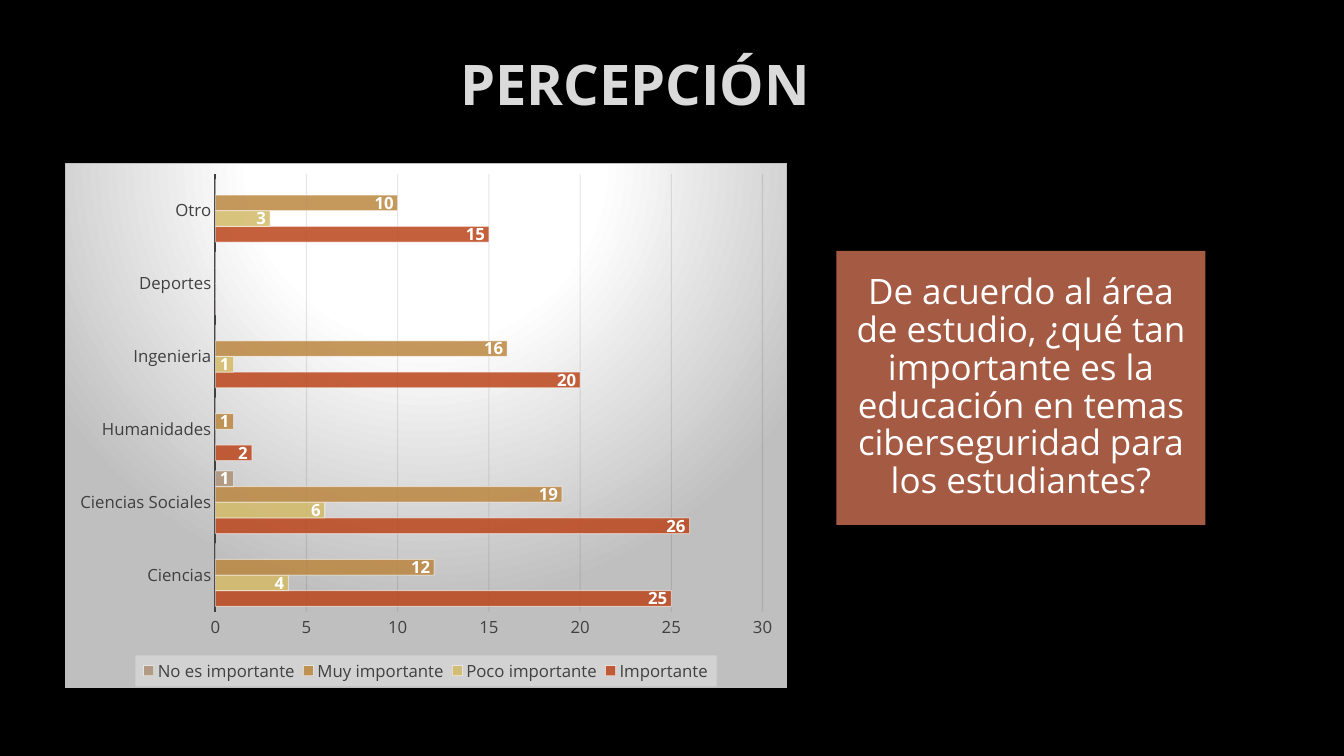
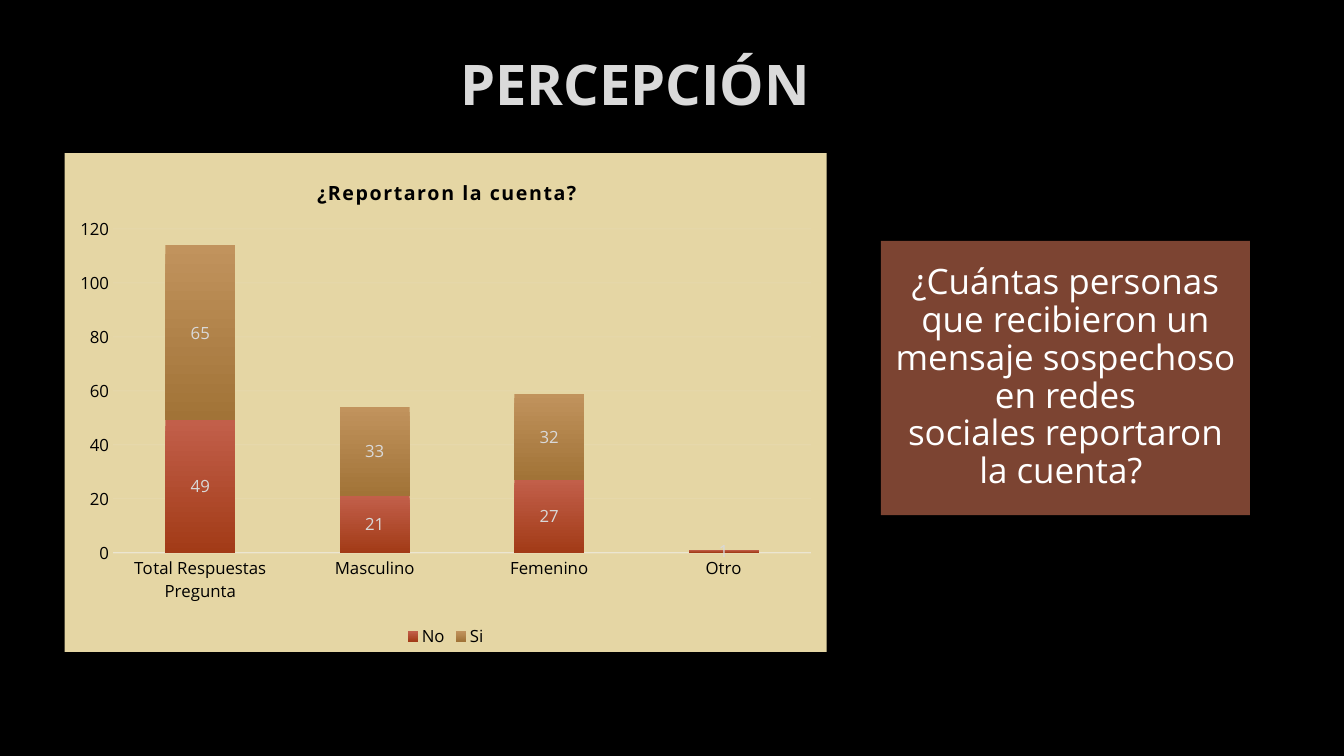
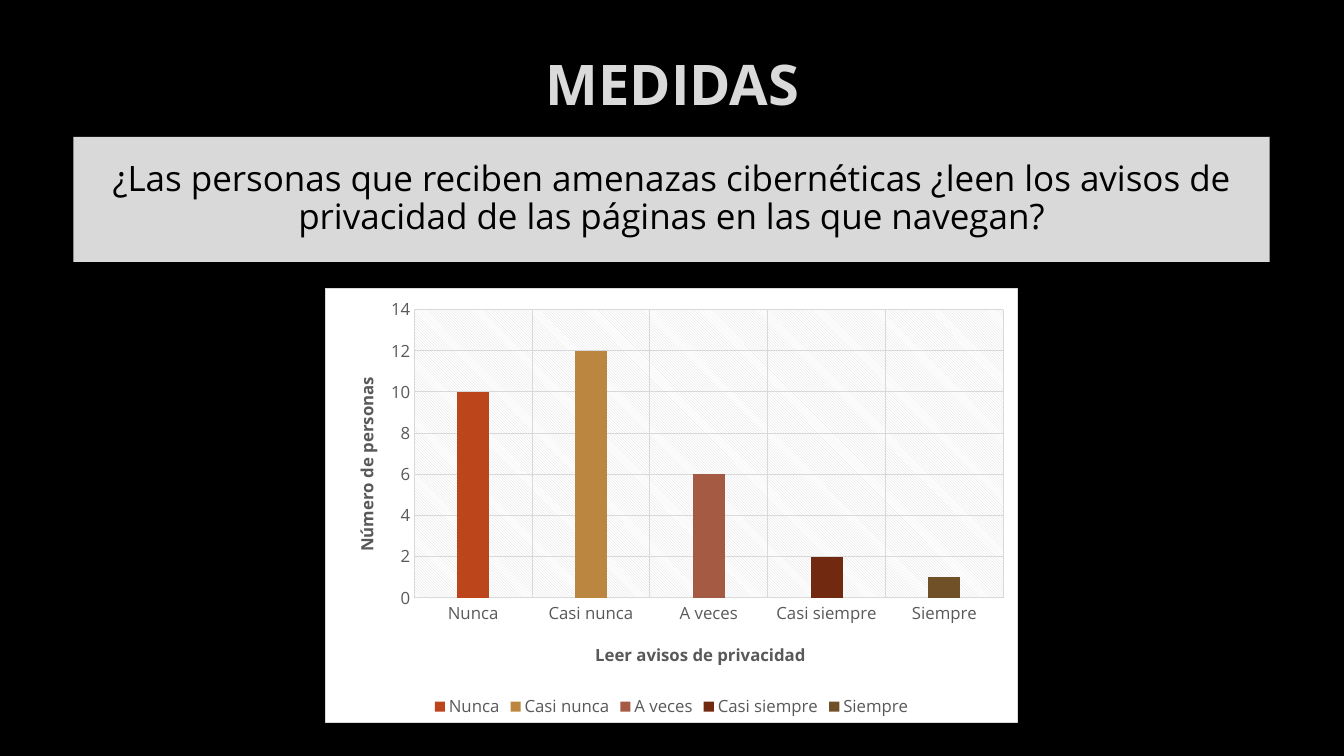
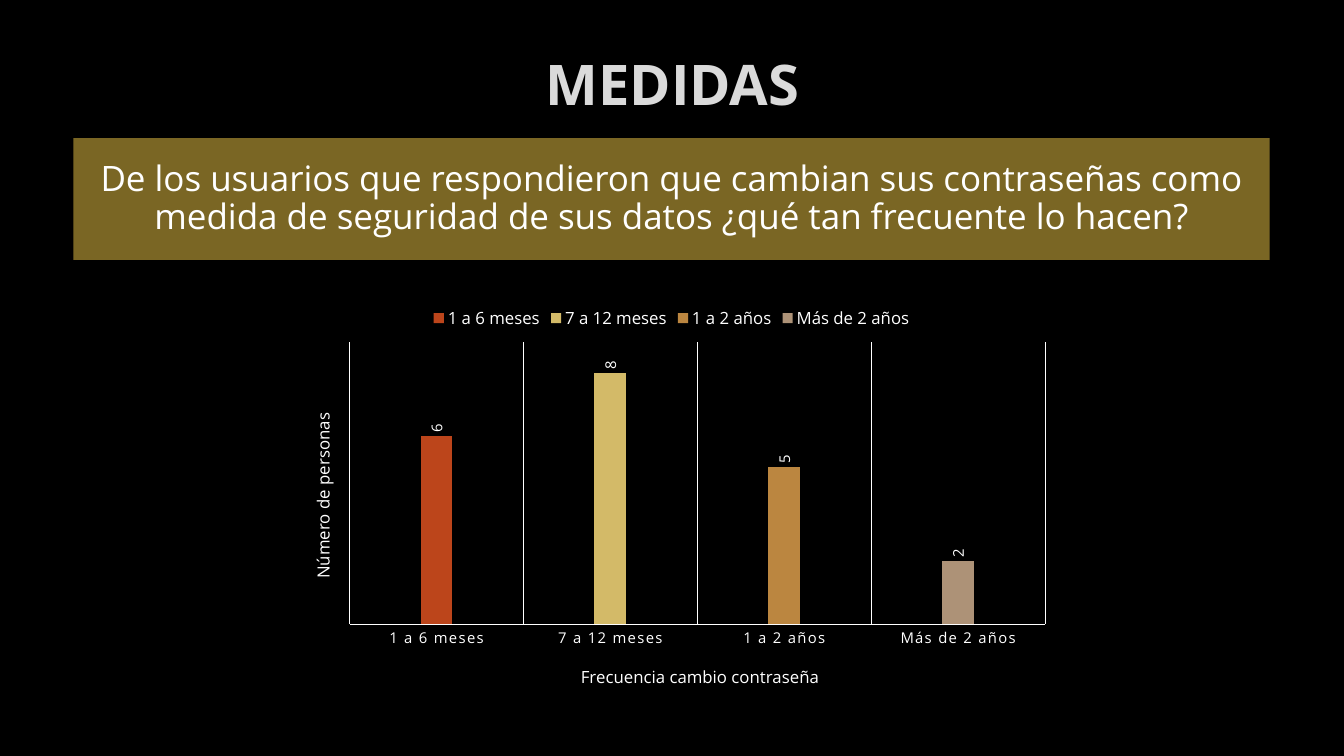
"""Build four slides of survey results on cybersecurity perception and measures."""
from lxml.etree import SubElement
from pptx import Presentation
from pptx.chart.data import CategoryChartData
from pptx.dml.color import RGBColor
from pptx.enum.chart import XL_CHART_TYPE, XL_LABEL_POSITION, XL_LEGEND_POSITION, XL_TICK_MARK
from pptx.enum.shapes import MSO_SHAPE
from pptx.enum.text import MSO_ANCHOR, PP_ALIGN
from pptx.oxml import parse_xml
from pptx.oxml.ns import nsdecls, qn
from pptx.util import Cm, Pt

FONT = "Open Sans"
BLACK = RGBColor(0x00, 0x00, 0x00)
WHITE = RGBColor(0xFF, 0xFF, 0xFF)
TITLE_GRAY = RGBColor(0xDA, 0xDA, 0xDA)
LIGHT_GRAY = RGBColor(0xD9, 0xD9, 0xD9)
PALE_GRAY = RGBColor(0xF2, 0xF2, 0xF2)
MID_GRAY = RGBColor(0x59, 0x59, 0x59)
DARK_GRAY = RGBColor(0x40, 0x40, 0x40)
INK = RGBColor(0x0D, 0x0D, 0x0D)
RUST = RGBColor(0xBC, 0x45, 0x1B)
SAND = RGBColor(0xD3, 0xBA, 0x68)
OCHRE = RGBColor(0xBB, 0x86, 0x40)
TAUPE = RGBColor(0xAD, 0x92, 0x77)
BRICK = RGBColor(0xA5, 0x5A, 0x43)
BROWN = RGBColor(0x7C, 0x44, 0x32)
MAROON = RGBColor(0x71, 0x29, 0x10)
UMBER = RGBColor(0x70, 0x50, 0x26)
OLIVE = RGBColor(0x7A, 0x66, 0x24)
RED_TOP = RGBColor(0xC2, 0x5F, 0x4A)
RED_BASE = RGBColor(0xA2, 0x3B, 0x17)
TAN_TOP = RGBColor(0xC1, 0x93, 0x5D)
TAN_BASE = RGBColor(0xA1, 0x73, 0x37)
UPRIGHT = "-5400000"

SLIDES = [
    dict(
        title="PERCEPCIÓN", title_left=1.63,
        question="De acuerdo al área de estudio, ¿qué tan importante es la educación "
                 "en temas ciberseguridad para los estudiantes?",
        panel=(21.08, 6.32, 9.3, 6.91), panel_color=BRICK, question_color=WHITE,
        kind=XL_CHART_TYPE.BAR_CLUSTERED, frame=(1.63, 4.11, 18.21, 13.23),
        plot=(5.42, 4.38, 13.81, 11.04), gap=65, overlap=0, top=30, step=5,
        categories=["Ciencias", "Ciencias Sociales", "Humanidades", "Ingenieria", "Deportes", "Otro"],
        series={
            "Importante": (25, 26, 2, 20, 0, 15),
            "Poco importante": (4, 6, 0, 1, 0, 3),
            "Muy importante": (12, 19, 1, 16, 0, 10),
            "No es importante": (0, 1, 0, 0, 0, 0),
        },
        text_color=DARK_GRAY, axis_line=(DARK_GRAY, 1.5), grid=INK,
        labels=(XL_LABEL_POSITION.INSIDE_END, 12, WHITE),
        background='<a:gradFill><a:gsLst><a:gs pos="0"><a:srgbClr val="FFFFFF"/></a:gs>'
                   '<a:gs pos="39000"><a:srgbClr val="FFFFFF"/></a:gs>'
                   '<a:gs pos="100000"><a:srgbClr val="BFBFBF"/></a:gs></a:gsLst>'
                   '<a:path path="circle"><a:fillToRect l="50000" t="-80000" r="50000" b="180000"/>'
                   '</a:path></a:gradFill>',
        border='<a:solidFill><a:srgbClr val="BFBFBF"/></a:solidFill>',
    ),
    dict(
        title="PERCEPCIÓN", title_left=1.63,
        question="¿Cuántas personas que recibieron un mensaje sospechoso en redes "
                 "sociales\u00a0reportaron la cuenta? ",
        panel=(22.2, 6.07, 9.3, 6.91), panel_color=BROWN, question_color=WHITE,
        kind=XL_CHART_TYPE.COLUMN_STACKED, frame=(1.63, 3.86, 19.2, 12.57),
        plot=(2.85, 5.77, 17.59, 8.16), gap=150, overlap=100, top=120, step=20,
        categories=["Total Respuestas Pregunta", "Masculino", "Femenino", "Otro"],
        series={"No": (49, 21, 27, 1), "Si": (65, 33, 32, 0)},
        text_color=BLACK, axis_line=(PALE_GRAY, 1), grid=PALE_GRAY,
        labels=(XL_LABEL_POSITION.CENTER, 12, LIGHT_GRAY),
        background='<a:solidFill><a:srgbClr val="E5D6A4"/></a:solidFill>',
        border="<a:noFill/>",
    ),
    dict(
        title="MEDIDAS", title_left=2.57,
        question="¿Las personas que reciben amenazas cibernéticas ¿leen los avisos de "
                 "privacidad de las páginas en las que navegan?",
        panel=(1.85, 3.45, 30.15, 3.15), panel_color=LIGHT_GRAY, question_color=BLACK,
        kind=XL_CHART_TYPE.COLUMN_CLUSTERED, frame=(8.2, 7.26, 17.45, 10.95),
        plot=(10.43, 7.79, 14.87, 7.28), gap=267, overlap=-43, top=14, step=2,
        categories=["Nunca", "Casi nunca", "A veces", "Casi siempre", "Siempre"],
        series={"Series 1": (10, 12, 6, 2, 1)},
        point_colors=(RUST, OCHRE, BRICK, MAROON, UMBER),
        text_color=MID_GRAY, axis_line=(LIGHT_GRAY, 0.75), grid=LIGHT_GRAY,
        axis_titles=(("Leer avisos de privacidad", 14.92, 16.1), ("Número de personas", 8.82, 9.42)),
        bold=True,
        background='<a:solidFill><a:srgbClr val="FFFFFF"/></a:solidFill>',
        border='<a:solidFill><a:srgbClr val="D9D9D9"/></a:solidFill>',
    ),
    dict(
        title="MEDIDAS", title_left=2.57,
        question="De los usuarios que respondieron que cambian sus contraseñas como medida "
                 "de seguridad de sus datos ¿qué tan frecuente lo hacen?",
        panel=(1.85, 3.48, 30.15, 3.07), panel_color=OLIVE, question_color=WHITE,
        kind=XL_CHART_TYPE.COLUMN_CLUSTERED, frame=(7.11, 7.44, 19.63, 10.34),
        plot=(8.81, 8.62, 17.53, 7.11), gap=444, overlap=-90, top=9, step=1,
        categories=["1 a 6 meses", "7 a 12 meses", "1 a 2 años", "Más de 2 años"],
        series={"Series 1": (6, 8, 5, 2)},
        point_colors=(RUST, SAND, OCHRE, TAUPE),
        text_color=WHITE, axis_line=(WHITE, 0.75), grid=None,
        axis_titles=(("Frecuencia cambio contraseña", 14.56, 16.65), ("Número de personas", 7.73, 10.33)),
        bold=False,
        labels=(XL_LABEL_POSITION.OUTSIDE_END, 10.6, WHITE),
        background="<a:noFill/>", border="<a:noFill/>",
    ),
]


def write(paragraph, text, size, color, bold=False):
    """Add one styled run."""
    run = paragraph.add_run()
    run.text = text
    run.font.name = FONT
    run.font.size = Pt(size)
    run.font.bold = bold
    run.font.color.rgb = color


def place(part, frame, left, top, width=None, height=None):
    """Fix a chart part at slide coordinates in centimetres."""
    for old_layout in part.findall(qn("c:layout")):
        part.remove(old_layout)
    inner = '<c:layoutTarget val="inner"/>' if part.tag == qn("c:plotArea") else ""
    values = {"x": (left - frame[0]) / frame[2], "y": (top - frame[1]) / frame[3]}
    if width:
        values.update(w=width / frame[2], h=height / frame[3])
    modes = '<c:xMode val="edge"/><c:yMode val="edge"/>'
    sizes = "".join(f'<c:{name} val="{value:.4f}"/>' for name, value in values.items())
    layout = parse_xml(f'<c:layout {nsdecls("c")}><c:manualLayout>{inner}{modes}{sizes}'
                       "</c:manualLayout></c:layout>")
    heads = part.xpath("./c:tx | ./c:legendPos")
    if heads:
        heads[-1].addnext(layout)
    else:
        part.insert(0, layout)


presentation = Presentation()
presentation.slide_width = Cm(33.87)
presentation.slide_height = Cm(19.05)
charts = []

for content in SLIDES:
    slide = presentation.slides.add_slide(presentation.slide_layouts[6])
    slide.background.fill.solid()
    slide.background.fill.fore_color.rgb = BLACK

    title = slide.shapes.add_textbox(Cm(content["title_left"]), Cm(0.76), Cm(28.75), Cm(2.69))
    title.text_frame.word_wrap = True
    title.text_frame.vertical_anchor = MSO_ANCHOR.MIDDLE
    paragraph = title.text_frame.paragraphs[0]
    paragraph.alignment = PP_ALIGN.CENTER
    write(paragraph, content["title"], 40, TITLE_GRAY, True)

    panel = slide.shapes.add_shape(MSO_SHAPE.RECTANGLE, *map(Cm, content["panel"]))
    panel.shadow.inherit = False
    panel.fill.solid()
    panel.fill.fore_color.rgb = content["panel_color"]
    panel.line.fill.background()
    frame = panel.text_frame
    frame.word_wrap = True
    frame.vertical_anchor = MSO_ANCHOR.MIDDLE
    frame.margin_left = frame.margin_right = frame.margin_top = frame.margin_bottom = Cm(0.25)
    paragraph = frame.paragraphs[0]
    paragraph.alignment = PP_ALIGN.CENTER
    paragraph.line_spacing = 0.9
    write(paragraph, content["question"], 25, content["question_color"])

    data = CategoryChartData()
    data.categories = content["categories"]
    for name, values in content["series"].items():
        data.add_series(name, values)
    chart = slide.shapes.add_chart(content["kind"], *map(Cm, content["frame"]), data).chart
    charts.append(chart)
    chart.has_title = False
    chart.font.name = FONT
    chart.font.size = Pt(12)
    chart.font.color.rgb = content["text_color"]
    chart.element.find(qn("c:chart")).addnext(parse_xml(
        f'<c:spPr {nsdecls("c", "a")}>{content["background"]}'
        f'<a:ln w="9525">{content["border"]}</a:ln></c:spPr>'))

    chart.has_legend = True
    chart.legend.position = XL_LEGEND_POSITION.BOTTOM
    chart.legend.include_in_layout = False
    chart.legend.font.name = FONT
    chart.legend.font.size = Pt(12)
    chart.legend.font.color.rgb = content["text_color"]

    plot = chart.plots[0]
    plot.gap_width = content["gap"]
    plot.overlap = content["overlap"]
    plot.vary_by_categories = "point_colors" in content
    for index, color in enumerate(content.get("point_colors", ())):
        point_fill = plot.series[0].points[index].format.fill
        point_fill.solid()
        point_fill.fore_color.rgb = color
    if "labels" in content:
        position, size, color = content["labels"]
        plot.has_data_labels = True
        labels = plot.data_labels
        labels.show_value = True
        labels.position = position
        labels.number_format = "0;;;"
        labels.number_format_is_linked = False
        labels.font.name = FONT
        labels.font.size = Pt(size)
        labels.font.color.rgb = color

    category_axis, value_axis = chart.category_axis, chart.value_axis
    for axis in (category_axis, value_axis):
        axis.major_tick_mark = axis.minor_tick_mark = XL_TICK_MARK.NONE
        axis.tick_labels.font.name = FONT
        axis.tick_labels.font.size = Pt(12)
        axis.tick_labels.font.color.rgb = content["text_color"]
    line_color, line_width = content["axis_line"]
    category_axis.format.line.color.rgb = line_color
    category_axis.format.line.width = Pt(line_width)
    value_axis.format.line.fill.background()
    value_axis.minimum_scale = 0
    value_axis.maximum_scale = content["top"]
    value_axis.major_unit = content["step"]
    value_axis.has_major_gridlines = content["grid"] is not None
    if content["grid"]:
        value_axis.major_gridlines.format.line.color.rgb = content["grid"]
        value_axis.major_gridlines.format.line.width = Pt(0.75)

    if "axis_titles" in content:
        category_axis.has_major_gridlines = True
        category_axis.major_gridlines.format.line.color.rgb = line_color
        category_axis.major_gridlines.format.line.width = Pt(0.75)
        for axis, (text, left, top) in zip((category_axis, value_axis), content["axis_titles"]):
            text_frame = axis.axis_title.text_frame
            write(text_frame.paragraphs[0], text, 12, content["text_color"], content["bold"])
        for body in chart.element.xpath(".//c:valAx/c:title//a:bodyPr"):
            body.set("rot", UPRIGHT)
            body.set("vert", "horz")
        for tag, (text, left, top) in zip(("catAx", "valAx"), content["axis_titles"]):
            place(chart.element.xpath(f".//c:{tag}/c:title")[0], content["frame"], left, top)
    place(chart.element.xpath(".//c:plotArea")[0], content["frame"], *content["plot"])

importance, reports, privacy, passwords = charts

importance.plots[0].data_labels.font.bold = True
for series, color in zip(importance.plots[0].series, (RUST, SAND, OCHRE, TAUPE)):
    series.format.fill.solid()
    series.format.fill.fore_color.rgb = color
    series.format.line.color.rgb = WHITE
    series.format.line.width = Pt(0.75)
legend = importance.element.xpath(".//c:legend")[0]
legend.find(qn("c:txPr")).addprevious(parse_xml(
    f'<c:spPr {nsdecls("c", "a")}><a:solidFill><a:srgbClr val="{PALE_GRAY}"/></a:solidFill></c:spPr>'))
place(legend, SLIDES[0]["frame"], 3.4, 16.56, 14.67, 0.78)

for series, colors in zip(reports.plots[0].series, ((RED_TOP, RED_BASE), (TAN_TOP, TAN_BASE))):
    series.format.fill.gradient()
    series.format.fill.gradient_angle = 270
    for stop, color in zip(series.format.fill.gradient_stops, colors):
        stop.color.rgb = color
reports.has_title = True
write(reports.chart_title.text_frame.paragraphs[0], "¿Reportaron la cuenta?", 14, BLACK, True)
place(reports.element.xpath("./c:chart/c:title")[0], SLIDES[1]["frame"], 7.9, 4.37)

privacy.element.xpath(".//c:plotArea")[0].append(parse_xml(
    f'<c:spPr {nsdecls("c", "a")}><a:pattFill prst="ltDnDiag"><a:fgClr><a:srgbClr val="{LIGHT_GRAY}"/>'
    f'</a:fgClr><a:bgClr><a:srgbClr val="{WHITE}"/></a:bgClr></a:pattFill></c:spPr>'))

passwords.legend.position = XL_LEGEND_POSITION.TOP
passwords.value_axis.visible = False
passwords.category_axis.tick_labels.font.size = Pt(10.6)
for body in passwords.element.xpath(".//c:dLbls/c:txPr/a:bodyPr"):
    body.set("rot", UPRIGHT)
    body.set("vert", "horz")

for chart, query in (
    (reports, "./c:chart/c:title//a:rPr"),
    (passwords, ".//c:catAx/c:txPr//a:defRPr"),
):
    for properties in chart.element.xpath(query):
        properties.set("spc", "100")

for chart, query, percent in (
    (importance, ".//c:ser/c:spPr/a:solidFill/a:srgbClr", 85),
    (importance, ".//c:ser/c:spPr/a:ln//a:srgbClr", 50),
    (importance, ".//c:majorGridlines//a:srgbClr", 10),
    (importance, ".//c:legend/c:spPr//a:srgbClr", 39),
    (reports, ".//c:majorGridlines//a:srgbClr", 10),
    (reports, ".//c:catAx/c:spPr//a:srgbClr", 54),
):
    for color in chart.element.xpath(query):
        SubElement(color, qn("a:alpha")).set("val", str(percent * 1000))

presentation.save("out.pptx")
